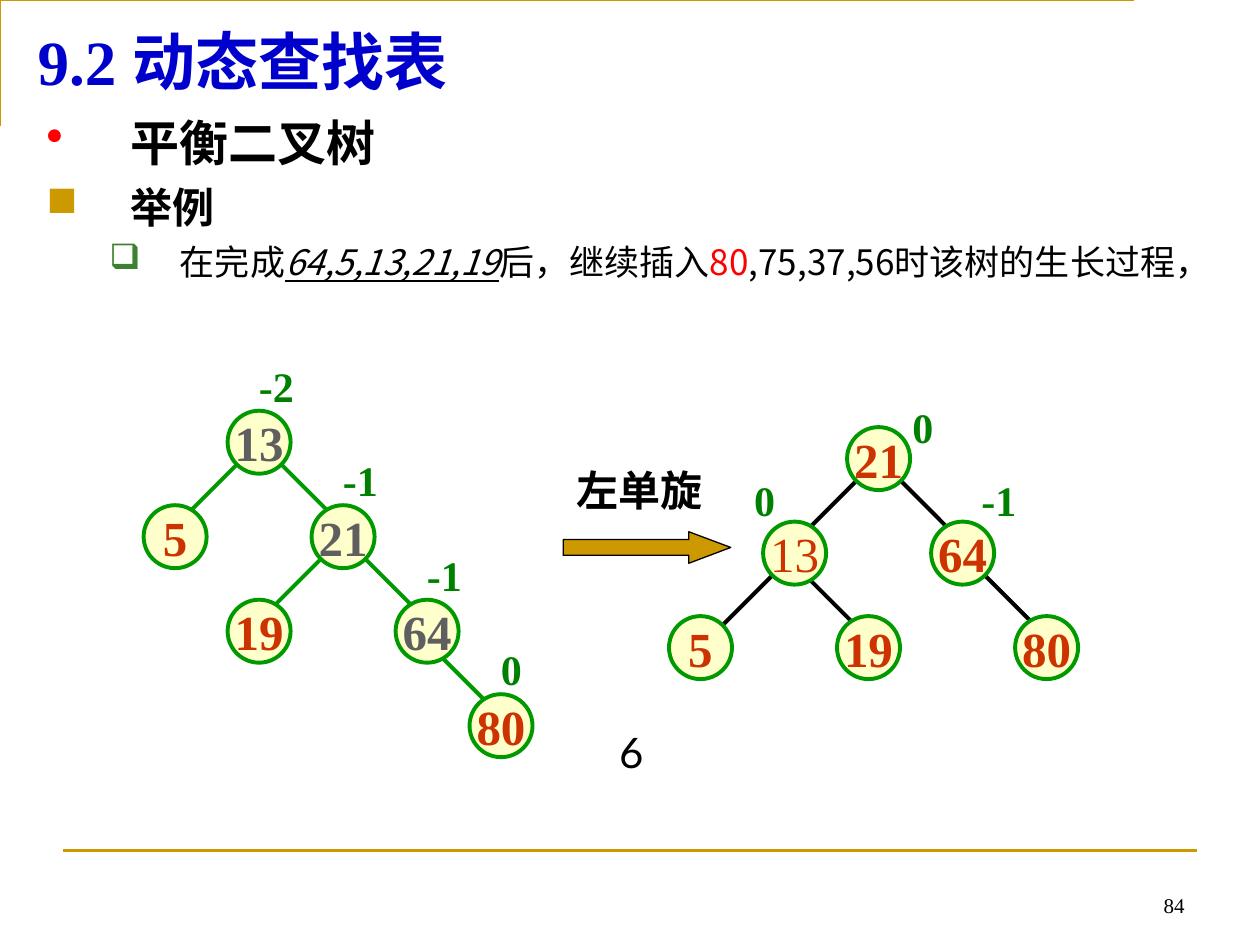
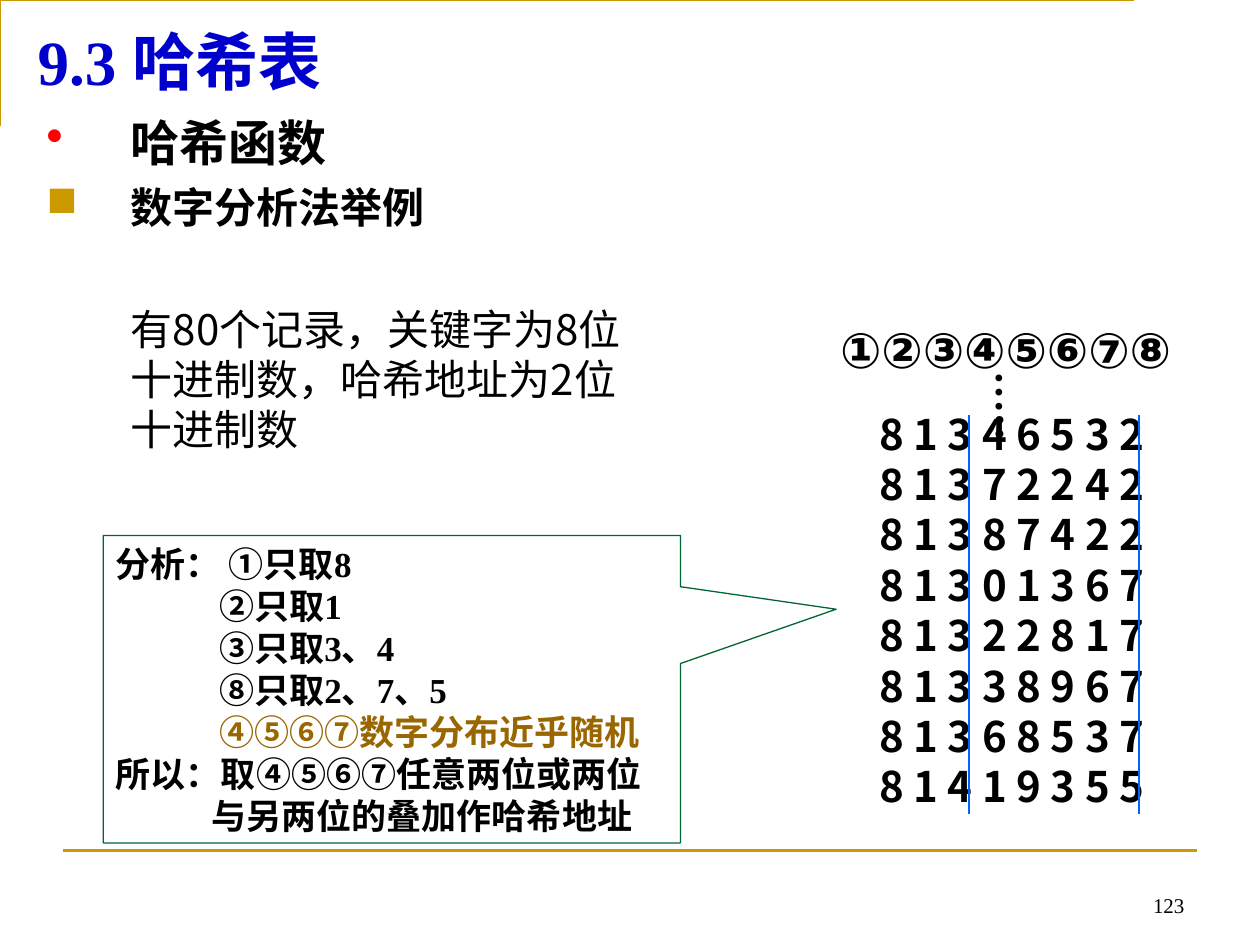
from lxml.etree import SubElement
from pptx import Presentation
from pptx.dml.color import RGBColor
from pptx.enum.shapes import MSO_CONNECTOR, MSO_SHAPE
from pptx.enum.text import MSO_ANCHOR, MSO_AUTO_SIZE, PP_ALIGN
from pptx.oxml.ns import qn
from pptx.util import Inches, Pt

# Colours and fonts
BLACK = RGBColor(0, 0, 0)
GOLD = RGBColor(0xCC, 0x99, 0x00)
BLUE = RGBColor(0x00, 0x00, 0xCC)
RED = RGBColor(0xFF, 0x00, 0x00)
LEAF = RGBColor(0x3B, 0x81, 0x2F)
GREEN = RGBColor(0x00, 0x99, 0x00)
DARK = RGBColor(0x00, 0x80, 0x00)
CREAM = RGBColor(0xFF, 0xFF, 0xCC)
RUST = RGBColor(0xCC, 0x33, 0x00)
GREY = RGBColor(0x5F, 0x5F, 0x5F)
SKY = RGBColor(0x00, 0x66, 0xFF)
PINE = RGBColor(0x00, 0x66, 0x33)
BROWN = RGBColor(0x99, 0x66, 0x00)
SANS, SERIF, ARIAL = "Noto Sans CJK SC", "Times New Roman", "Arial"

# Text styles
TITLE = dict(name=SERIF, size=Pt(36), bold=True, color=BLUE)
PAGE = dict(name=SERIF, size=Pt(12), color=BLACK)
HEAD = dict(name=SANS, size=Pt(28), bold=True, color=BLACK)
SUB = HEAD | dict(size=Pt(24))
BODY = SUB | dict(bold=False)
ITEM = BODY | dict(size=Pt(20))
NODE = dict(name=SERIF, size=Pt(28), bold=True, color=RUST)
MARK = dict(name=SERIF, size=Pt(24), bold=True, color=DARK)
STEP = MARK | dict(color=BLACK)
NOTE = STEP | dict(size=Pt(20))
RING = dict(name=ARIAL)

# Paragraph styles: left indent, first line, space before, bullet
DOT = dict(left=0.67, first=-0.67, bullet=("•", RED))
BOX = dict(left=0.67, first=-0.67, before=6, bullet=("■", GOLD))
OPEN = dict(left=1.06, first=-0.56, before=5, bullet=("❑", LEAF))
PLAIN = dict(left=0.67, before=40.8)
DEEP, LAST = dict(left=0.82), dict(left=0.76)

# Slide 1: a paragraph is (style, format, runs)
TREE_HEAD = "9.2 动态查找表"
TREE_BODY = [
    (HEAD, DOT, ["平衡二叉树"]),
    (SUB, BOX, ["举例"]),
    (ITEM, OPEN, ["在完成", ("64,5,13,21,19", dict(italic=True, underline=True)),
                  "后，继续插入", ("80", dict(color=RED)),
                  ",75,37,56时该树的生长过程，"]),
]
# Each node: key, column, row, parent, text format, balance, offset of balance
UP, SIDE, BACK, OVER = (0.15, -0.45), (0.42, -0.25), (-0.17, -0.42), (0.3, -0.42)
OLD = dict(color=GREY)
BEFORE = [
    ("13", 1, 0, None, OLD, "-2", UP),
    ("5", 0, 1, "13", {}, None, None),
    ("21", 2, 1, "13", OLD, "-1", UP),
    ("19", 1, 2, "21", {}, None, None),
    ("64", 3, 2, "21", OLD, "-1", UP),
    ("80", 3.88, 3, "64", {}, "0", UP),
]
AFTER = [
    ("21", 2.12, 0, None, {}, "0", SIDE),
    ("13", 1.12, 1, "21", dict(bold=False), "0", BACK),
    ("64", 3.12, 1, "21", {}, "-1", OVER),
    ("5", 0, 2, "13", {}, None, None),
    ("19", 2, 2, "13", {}, None, None),
    ("80", 4.12, 2, "64", {}, None, None),
]
COL, ROW, SIZE = 2 / 3, 0.75, 0.5

# Slide 2
HASH_HEAD = "9.3 哈希表"
HASH_BODY = [
    (HEAD, DOT, ["哈希函数"]),
    (SUB, BOX, ["数字分析法举例"]),
    (BODY, PLAIN, ["有80个记录，关键字为8位十进制数，哈希地址为2位十进制数"]),
]
KEYS = ["81346532", "81372242", "81387422", "81301367",
        "81322817", "81338967", "81368537", "81419355"]
RINGS = "①②③④⑤⑥⑦⑧"
CASES = [
    (NOTE, {}, ["分析： ", ("①", RING), "只取8"]),
    (NOTE, DEEP, [("②", RING), "只取1"]),
    (NOTE, DEEP, [("③", RING), "只取3、4"]),
    (NOTE, DEEP, [("⑧", RING), "只取2、7、5"]),
    (NOTE | dict(color=BROWN), DEEP, [("④⑤⑥⑦", RING), "数字分布近乎随机"]),
    (NOTE, {}, ["所以：取", ("④⑤⑥⑦", RING), "任意两位或两位"]),
    (NOTE, LAST, ["与另两位的叠加作哈希地址"]),
]


# Text
def style(run, form):
    for key, value in form.items():
        if key == "color":
            run.font.color.rgb = value
        else:
            setattr(run.font, key, value)
    face = ARIAL if form["name"] == ARIAL else SANS
    SubElement(run.font._element, qn("a:ea"), typeface=face)


def shape_para(para, form, align):
    para.alignment = align
    para.space_before = Pt(form.get("before", 0))
    props = para._p.get_or_add_pPr()
    props.set("marL", str(Inches(form.get("left", 0))))
    props.set("indent", str(Inches(form.get("first", 0))))
    if "bullet" in form:
        char, tint = form["bullet"]
        SubElement(SubElement(props, qn("a:buClr")), qn("a:srgbClr"), val=str(tint))
        SubElement(props, qn("a:buChar"), char=char)
    else:
        SubElement(props, qn("a:buNone"))


def write(frame, paras, align=PP_ALIGN.LEFT):
    for num, (base, form, runs) in enumerate(paras):
        para = frame.add_paragraph() if num else frame.paragraphs[0]
        shape_para(para, form, align)
        for part in runs:
            words, extra = (part, {}) if isinstance(part, str) else part
            run = para.add_run()
            run.text = words
            style(run, base | extra)


def add_text(slide, area, paras, align=PP_ALIGN.LEFT, **form):
    frame = slide.shapes.add_textbox(*map(Inches, area)).text_frame
    form = dict(word_wrap=True, auto_size=MSO_AUTO_SIZE.NONE) | form
    for key, value in form.items():
        setattr(frame, key, value)
    write(frame, paras, align)
    return frame


def label(slide, area, paras, **form):
    form = dict(word_wrap=False, auto_size=MSO_AUTO_SIZE.SHAPE_TO_FIT_TEXT) | form
    return add_text(slide, area, paras, **form)


# Shapes
def paint(shape, fill, tint, width):
    shape.shadow.inherit = False
    if fill is None:
        shape.fill.background()
    else:
        shape.fill.solid()
        shape.fill.fore_color.rgb = fill
    shape.line.color.rgb = tint
    shape.line.width = Pt(width)


def draw(slide, kind, area, fill, tint, width, adjust=()):
    shape = slide.shapes.add_shape(kind, *map(Inches, area))
    paint(shape, fill, tint, width)
    for num, value in enumerate(adjust):
        shape.adjustments[num] = value
    return shape


def rule(slide, start, end, tint, width):
    line = slide.shapes.add_connector(
        MSO_CONNECTOR.STRAIGHT, *map(Inches, (*start, *end)))
    line.line.color.rgb = tint
    line.line.width = Pt(width)
    SubElement(line._element.spPr, qn("a:effectLst"))


# Shared frame: corner line, foot line, page number, body and title
def start(deck, title, page, body, area):
    slide = deck.slides.add_slide(deck.slide_layouts[6])
    path = slide.shapes.build_freeform(0.2, 0.79, scale=Inches(1))
    path.add_line_segments([(0.2, 0.13), (9.2, 0.13)], close=False)
    paint(path.convert_to_shape(), None, GOLD, 1.5)
    rule(slide, (0.5, 6.75), (9.5, 6.75), GOLD, 1.5)
    add_text(slide, (7.17, 6.83, 2.33, 0.5), [(PAGE, {}, [page])],
             PP_ALIGN.RIGHT, vertical_anchor=MSO_ANCHOR.BOTTOM)
    add_text(slide, area, body)
    add_text(slide, (0.2, 0.13, 9, 0.71), [(TITLE, {}, [title])])
    return slide


# Trees: edges leave each parent on the diagonal, nodes cover their ends
def tree(slide, nodes, left, top, tint):
    spots = {key: (left + col * COL, top + row * ROW)
             for key, col, row, *_ in nodes}
    for key, _, _, parent, *_ in nodes:
        if parent:
            (x, y), (kid, _) = spots[parent], spots[key]
            side = 1 if kid > x else -1
            gap = 0.17 if abs(kid - x) > 0.6 else 0.08
            x, y = x + side * gap, y + 0.17
            rule(slide, (x, y), (x + side * 0.42, y + 0.42), tint, 2.25)
    for key, _, _, _, form, mark, shift in nodes:
        x, y = (at - SIZE / 2 for at in spots[key])
        disc = draw(slide, MSO_SHAPE.OVAL, (x, y, SIZE, SIZE), CREAM, GREEN, 2.25)
        disc.text_frame.word_wrap = False
        disc.text_frame.vertical_anchor = MSO_ANCHOR.MIDDLE
        write(disc.text_frame, [(NODE | form, {}, [key])], PP_ALIGN.CENTER)
        if mark:
            wide = 0.36 if mark == "0" else 0.48
            label(slide, (x + shift[0], y + shift[1], wide, 0.5),
                  [(MARK, {}, [mark])])


def tree_slide(deck):
    slide = start(deck, TREE_HEAD, "84", TREE_BODY, (0.27, 0.84, 9.21, 5.83))
    label(slide, (4.72, 5.72, 0.58, 0.5), [(BODY | dict(name="Lato"), {}, ["6"])],
          align=PP_ALIGN.CENTER, word_wrap=True)
    tree(slide, BEFORE, 1.39, 3.51, GREEN)
    tree(slide, AFTER, 5.56, 3.64, BLACK)
    draw(slide, MSO_SHAPE.RIGHT_ARROW, (4.47, 4.22, 1.33, 0.25),
         GOLD, BLACK, 0.75, (0.5, 1.33))
    label(slide, (4.48, 3.64, 1.2, 0.5), [(STEP, {}, ["左单旋"])])


def hash_slide(deck):
    slide = start(deck, HASH_HEAD, "123", HASH_BODY, (0.27, 0.84, 5.04, 3.07))
    label(slide, (6.88, 3.19, 2.42, 3.3), [(SUB, {}, [" ".join(key)]) for key in KEYS])
    dots = label(slide, (7.69, 2.85, 0.6, 0.63),
                 [(STEP, {}, ["…", ("..", dict(name=SANS))])],
                 margin_left=Inches(0.05), margin_right=Inches(0.05),
                 margin_top=Inches(0.1), margin_bottom=Inches(0.1))
    dots._txBody.bodyPr.set("vert", "eaVert")
    label(slide, (6.57, 2.49, 3, 0.57), [(HEAD | RING, {}, [RINGS])], word_wrap=True)
    for x in (7.69, 9.04):
        rule(slide, (x, 3.29), (x, 6.46), SKY, 0.75)
    call = draw(slide, MSO_SHAPE.RECTANGULAR_CALLOUT, (0.82, 4.25, 4.58, 2.44),
                None, PINE, 0.75, (0.77, -0.26))
    call.text_frame.word_wrap = True
    call.text_frame.vertical_anchor = MSO_ANCHOR.MIDDLE
    write(call.text_frame, CASES)


def main():
    deck = Presentation()
    deck.slide_width, deck.slide_height = Inches(10), Inches(7.5)
    tree_slide(deck)
    hash_slide(deck)
    deck.save("out.pptx")


if __name__ == "__main__":
    main()
